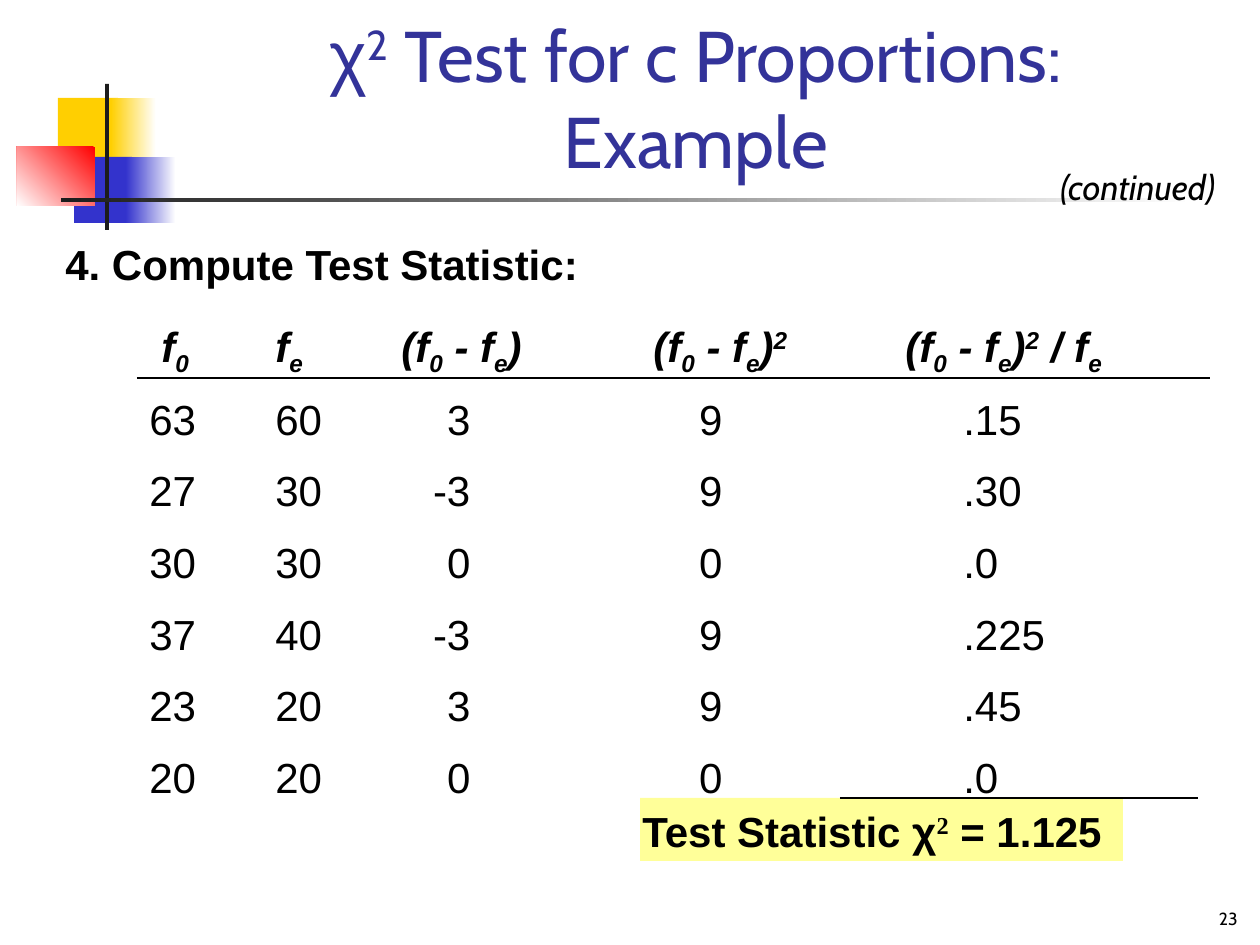
import pptx
import pptx.dml.color
import pptx.enum.shapes
import pptx.enum.text
import pptx.oxml.ns
import pptx.util
from dataclasses import dataclass
from lxml import etree

EMU_PER_PX = 914400 / 126
ALIGN = pptx.enum.text.PP_ALIGN
ANCHOR = pptx.enum.text.MSO_ANCHOR


@dataclass(frozen=True)
class Theme:
    body_font: str = "Arial"
    heading_font: str = "Cabin"
    symbol_font: str = "Times New Roman"
    title: str = "333399"
    text: str = "000000"
    bar: str = "1C1C1C"
    yellow: str = "FFCF01"
    blue: str = "3333CC"
    red: str = "FF0000"
    white: str = "FFFFFF"
    highlight: str = "FFFF99"
    title_size: int = 41
    body_size: int = 24
    continued_size: int = 20
    number_size: int = 10


THEME = Theme()
BASELINES = {"_": "-25000", "^": "30000"}

HEADER_STOPS = [(12, "l"), (126, "l"), (252, "l"), (504, "l"), (756, "l")]
VALUE_STOPS = [(126, "l"), (321, "r"), (573, "r"), (814, "l")]
HEADINGS = ["f_0", "f_e", "(f_0 - f_e)", "(f_0 - f_e)^2", "(f_0 - f_e)^2 / f_e"]
VALUES = [
    ["63", "60", "3", "9", ".15"],
    ["27", "30", "-3", "9", ".30"],
    ["30", "30", "0", "0", ".0"],
    ["37", "40", "-3", "9", ".225"],
    ["23", "20", "3", "9", ".45"],
    ["20", "20", "0", "0", ".0"],
]


def px(length):
    return pptx.util.Emu(round(length * EMU_PER_PX))


def rgb(color):
    return pptx.dml.color.RGBColor.from_string(color)


def add_block(slide, box, color, fade_to=None, angle=0):
    """Add a borderless rectangle, fading from color to fade_to if given."""
    block = slide.shapes.add_shape(
        pptx.enum.shapes.MSO_SHAPE.RECTANGLE, *map(px, box))
    block.shadow.inherit = False
    block.line.fill.background()
    if fade_to is None:
        block.fill.solid()
        block.fill.fore_color.rgb = rgb(color)
        return
    block.fill.gradient()
    block.fill.gradient_angle = angle
    for stop, stop_color in zip(block.fill.gradient_stops, (color, fade_to)):
        stop.color.rgb = rgb(stop_color)


def add_rule(slide, left, right, y):
    rule = slide.shapes.add_connector(
        pptx.enum.shapes.MSO_CONNECTOR.STRAIGHT, px(left), px(y), px(right), px(y))
    rule.line.color.rgb = rgb(THEME.text)
    rule.line.width = pptx.util.Pt(1)
    etree.SubElement(rule._element.spPr, pptx.oxml.ns.qn("a:effectLst"))


def add_text_frame(slide, box, anchor=ANCHOR.TOP, wrap=True):
    frame = slide.shapes.add_textbox(*map(px, box)).text_frame
    frame.word_wrap = wrap
    frame.vertical_anchor = anchor
    return frame


def style(paragraph, size, font=THEME.body_font, color=THEME.text,
          bold=False, italic=False, align=ALIGN.LEFT):
    paragraph.alignment = align
    paragraph.font.size = pptx.util.Pt(size)
    paragraph.font.name = font
    paragraph.font.color.rgb = rgb(color)
    paragraph.font.bold = bold
    paragraph.font.italic = italic


def add_run(paragraph, text, baseline=None, font=None):
    run = paragraph.add_run()
    run.text = text
    if baseline:
        run.font._element.set("baseline", baseline)
    if font:
        run.font.name = font


def add_formula(paragraph, formula):
    """Add runs, where _ lowers and ^ raises the one character that follows."""
    plain = ""
    characters = iter(formula)
    for character in characters:
        if character in BASELINES:
            add_run(paragraph, plain)
            add_run(paragraph, next(characters), BASELINES[character])
            plain = ""
        else:
            plain += character
    if plain:
        add_run(paragraph, plain)


def set_tab_stops(paragraph, stops):
    tab_list = etree.SubElement(
        paragraph._p.get_or_add_pPr(), pptx.oxml.ns.qn("a:tabLst"))
    for position, side in stops:
        etree.SubElement(tab_list, pptx.oxml.ns.qn("a:tab"),
                         pos=str(px(position)), algn=side)


def add_label(slide, box, text, size, anchor=ANCHOR.TOP, wrap=True, **look):
    paragraph = add_text_frame(slide, box, anchor, wrap).paragraphs[0]
    style(paragraph, size, **look)
    add_run(paragraph, text)


def add_emblem(slide):
    add_block(slide, (58, 98, 60, 66), THEME.yellow)
    add_block(slide, (111, 98, 45, 66), THEME.yellow, THEME.white)
    add_block(slide, (74, 157, 58, 66), THEME.blue)
    add_block(slide, (126, 157, 50, 66), THEME.blue, THEME.white)
    add_block(slide, (17, 147, 78, 59), THEME.red, THEME.white, angle=225)
    add_block(slide, (105, 84, 4, 146), THEME.bar)
    add_block(slide, (61, 198, 1134, 4), THEME.bar, THEME.white)


def add_title(slide):
    title = add_text_frame(slide, (159, 31, 1074, 158), ANCHOR.BOTTOM).paragraphs[0]
    style(title, THEME.title_size, THEME.heading_font, THEME.title,
          align=ALIGN.CENTER)
    add_run(title, "χ", font=THEME.body_font)
    add_run(title, "2", BASELINES["^"])
    add_run(title, " Test for c Proportions:")
    title.add_line_break()
    add_run(title, "Example")


def add_computation(slide):
    frame = add_text_frame(slide, (137, 315, 1071, 564))
    rows = [("\t" + "\t".join(HEADINGS), HEADER_STOPS, True)]
    rows += [("\t".join(values), VALUE_STOPS, False) for values in VALUES]
    for index, (text, stops, is_header) in enumerate(rows):
        row = frame.add_paragraph() if index else frame.paragraphs[0]
        row.line_spacing = 0.9
        if index:
            row.space_before = pptx.util.Pt(15)
        set_tab_stops(row, stops)
        style(row, THEME.body_size, bold=is_header, italic=is_header)
        add_formula(row, text)


def add_result(slide):
    result = add_text_frame(slide, (630, 799, 556, 63)).paragraphs[0]
    style(result, THEME.body_size, bold=True)
    add_run(result, "Test Statistic χ")
    add_run(result, "2", BASELINES["^"], THEME.symbol_font)
    add_run(result, " = 1.125")


def main():
    deck = pptx.Presentation()
    deck.slide_width, deck.slide_height = px(1260), px(945)
    slide = deck.slides.add_slide(deck.slide_layouts[6])
    add_emblem(slide)
    add_block(slide, (640, 798, 483, 63), THEME.highlight)
    add_title(slide)
    add_label(slide, (1048, 159, 200, 55), "(continued)", THEME.continued_size,
              wrap=False, font=THEME.heading_font, italic=True)
    add_label(slide, (53, 232, 1123, 63), "4. Compute Test Statistic:",
              THEME.body_size, bold=True)
    add_computation(slide)
    add_rule(slide, 840, 1198, 798)
    add_result(slide)
    add_rule(slide, 137, 1210, 378)
    add_label(slide, (988, 871, 262, 64), "23", THEME.number_size, ANCHOR.BOTTOM,
              font=THEME.heading_font, align=ALIGN.RIGHT)
    deck.save("out.pptx")


if __name__ == "__main__":
    main()
